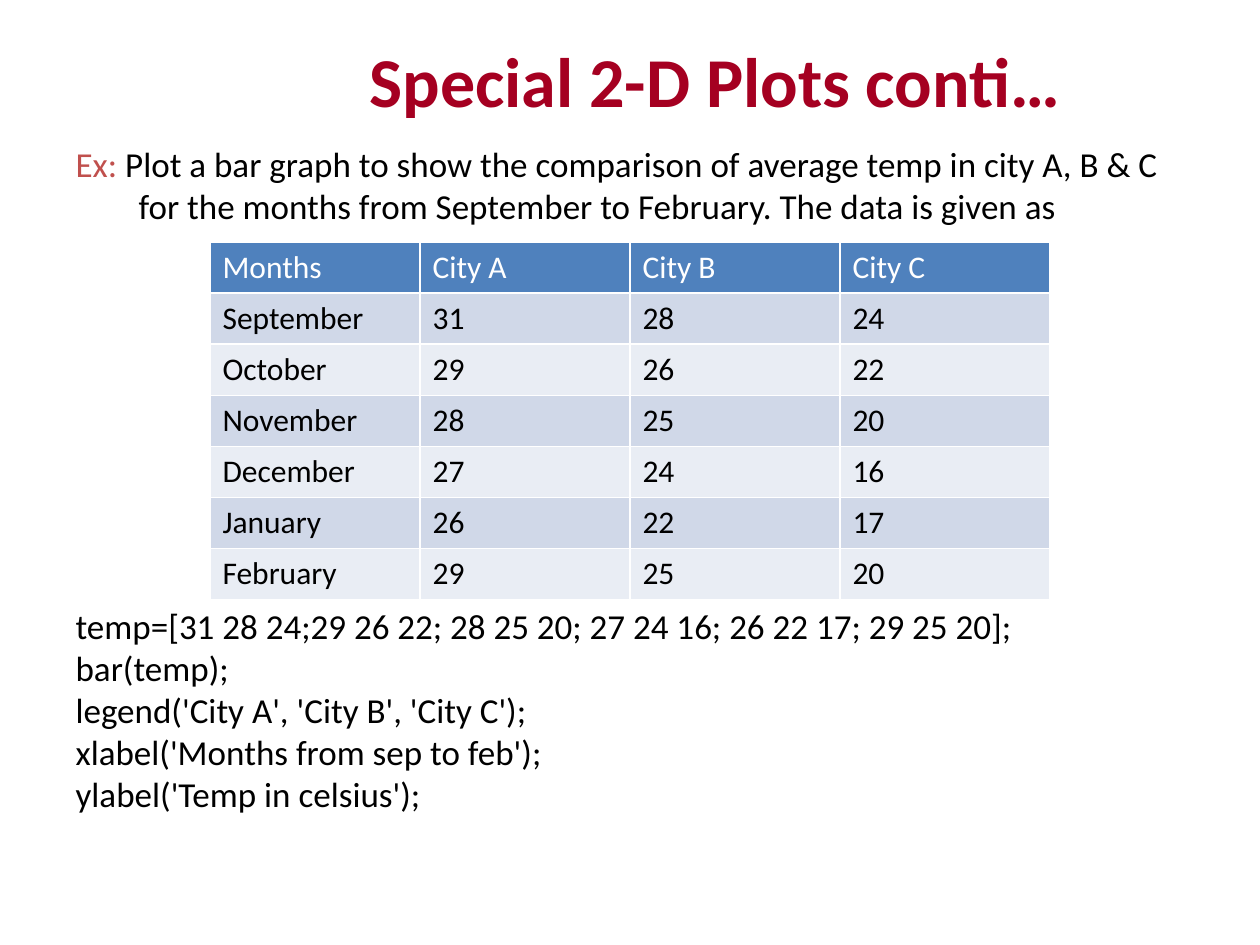
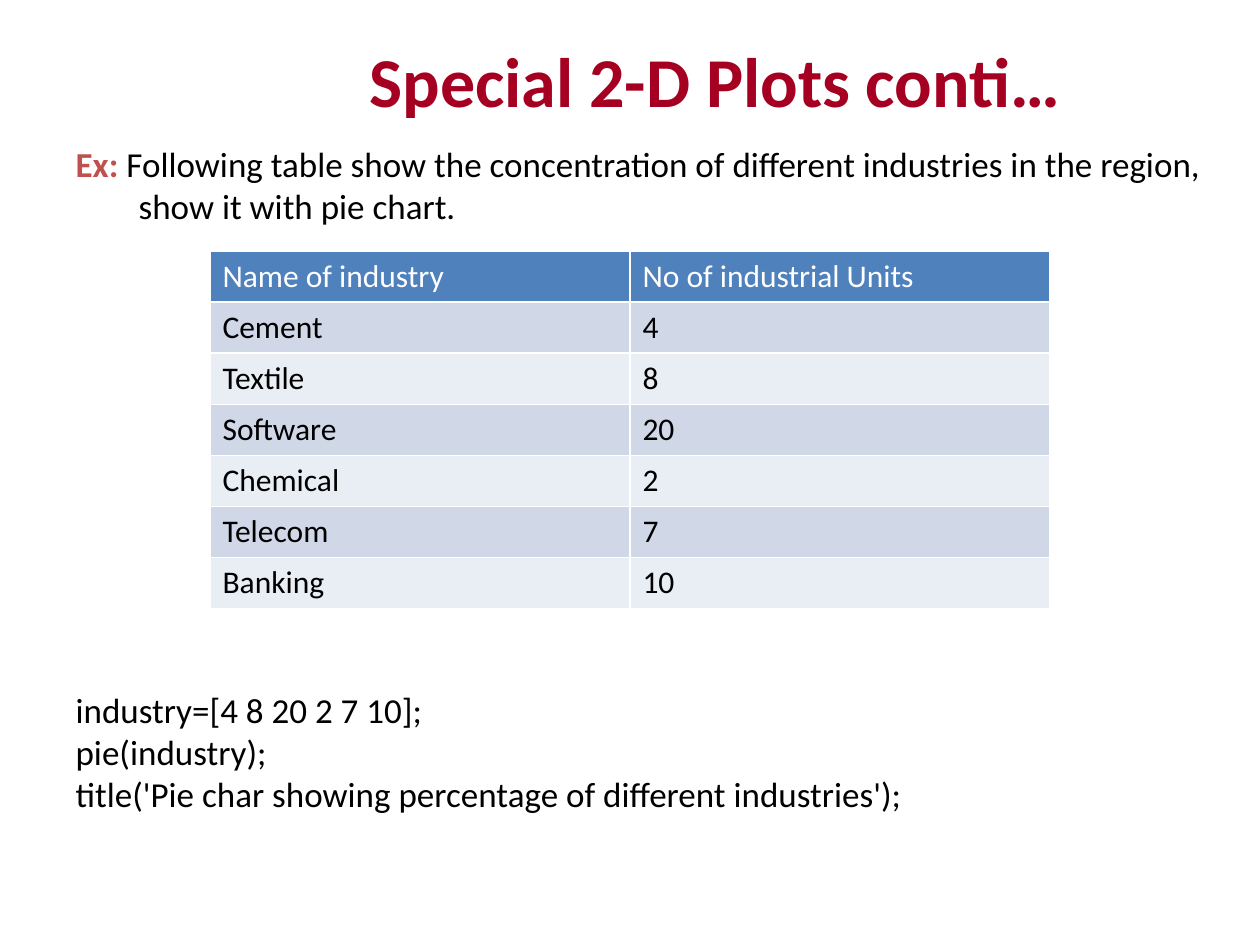
from pptx import Presentation
from pptx.dml.color import RGBColor
from pptx.enum.text import MSO_ANCHOR, MSO_AUTO_SIZE, PP_ALIGN
from pptx.oxml.xmlchemy import OxmlElement
from pptx.util import Pt

PX = 914400 // 126  # EMU in one px
FONT = "Calibri"
CRIMSON = RGBColor(0xA5, 0x00, 0x21)
BRICK = RGBColor(0xC0, 0x50, 0x4D)
BLACK = RGBColor(0x00, 0x00, 0x00)
WHITE = RGBColor(0xFF, 0xFF, 0xFF)
HEADER_BLUE = RGBColor(0x4F, 0x81, 0xBD)
BANDS = [RGBColor(0xE9, 0xED, 0xF4), RGBColor(0xD0, 0xD8, 0xE8)]
TITLE = "Special 2-D Plots conti… "
LINE_HEIGHT = 24  # points, for 20 pt text
TABLE_LEFT, TABLE_WIDTH, TABLE_HEIGHT = 210, 840, 358

EXERCISES = [
    dict(
        task="Plot a bar graph to show the comparison of average temp in city A, B & C "
             "for the months from September to February. The data is given as",
        label_bold=False,
        table_top=242,
        rows=[
            ("Months", "City A", "City B", "City C"),
            ("September", 31, 28, 24),
            ("October", 29, 26, 22),
            ("November", 28, 25, 20),
            ("December", 27, 24, 16),
            ("January", 26, 22, 17),
            ("February", 29, 25, 20),
        ],
        lines_to_code=9,
        code=[
            "temp=[31 28 24;29 26 22; 28 25 20; 27 24 16; 26 22 17; 29 25 20];",
            "bar(temp);",
            "legend('City A', 'City B', 'City C');",
            "xlabel('Months from sep to feb');",
            "ylabel('Temp in celsius');",
        ],
    ),
    dict(
        task="Following table show the concentration of different industries in the region, "
             "show it with pie chart.",
        label_bold=True,
        table_top=251,
        rows=[
            ("Name of industry", "No of industrial Units"),
            ("Cement", 4),
            ("Textile", 8),
            ("Software", 20),
            ("Chemical", 2),
            ("Telecom", 7),
            ("Banking", 10),
        ],
        lines_to_code=11,
        code=[
            "industry=[4 8 20 2 7 10];",
            "pie(industry);",
            "title('Pie char showing percentage of different industries');",
        ],
    ),
]


def place(shape, left, top, width, height):
    shape.left, shape.top = left * PX, top * PX
    shape.width, shape.height = width * PX, height * PX


def format_plain(paragraph, hanging=0, space_before=0):
    """Turn a bulleted body paragraph into plain 20 pt text."""
    paragraph.space_before = Pt(space_before)
    properties = paragraph._p.get_or_add_pPr()
    properties.set("marL", str(hanging * PX))
    properties.set("indent", str(-hanging * PX))
    properties.append(OxmlElement("a:buNone"))
    paragraph.font.name, paragraph.font.size = FONT, Pt(20)
    paragraph.font.color.rgb = BLACK


prs = Presentation()
prs.slide_width, prs.slide_height = 1260 * PX, 945 * PX

for exercise in EXERCISES:
    slide = prs.slides.add_slide(prs.slide_layouts[1])

    title = slide.shapes.title
    place(title, 186, 0, 1074, 158)
    title.text_frame.text = TITLE
    title.text_frame.auto_size = MSO_AUTO_SIZE.NONE
    title.text_frame.vertical_anchor = MSO_ANCHOR.MIDDLE
    heading = title.text_frame.paragraphs[0]
    heading.alignment = PP_ALIGN.CENTER
    heading.font.name, heading.font.size = FONT, Pt(40)
    heading.font.bold = True
    heading.font.color.rgb = CRIMSON

    body = slide.placeholders[1]
    place(body, 63, 136, 1155, 777)
    body.text_frame.auto_size = MSO_AUTO_SIZE.NONE
    task = body.text_frame.paragraphs[0]
    format_plain(task, hanging=63)
    label = task.add_run()
    label.text = "Ex: "
    label.font.color.rgb = BRICK
    label.font.bold = exercise["label_bold"]
    task.add_run().text = exercise["task"]

    for number, code_line in enumerate(exercise["code"]):
        statement = body.text_frame.add_paragraph()
        statement.text = code_line
        gap = 0 if number else exercise["lines_to_code"] * LINE_HEIGHT
        format_plain(statement, space_before=gap)

    rows = exercise["rows"]
    data = slide.shapes.add_table(
        len(rows), len(rows[0]), TABLE_LEFT * PX, exercise["table_top"] * PX,
        TABLE_WIDTH * PX, TABLE_HEIGHT * PX).table
    for r, row in enumerate(rows):
        for c, value in enumerate(row):
            cell = data.cell(r, c)
            cell.text = str(value)
            cell.fill.solid()
            cell.fill.fore_color.rgb = BANDS[r % 2] if r else HEADER_BLUE
            entry = cell.text_frame.paragraphs[0]
            entry.font.name, entry.font.size = FONT, Pt(18)
            entry.font.bold = False
            entry.font.color.rgb = BLACK if r else WHITE

prs.save("out.pptx")
